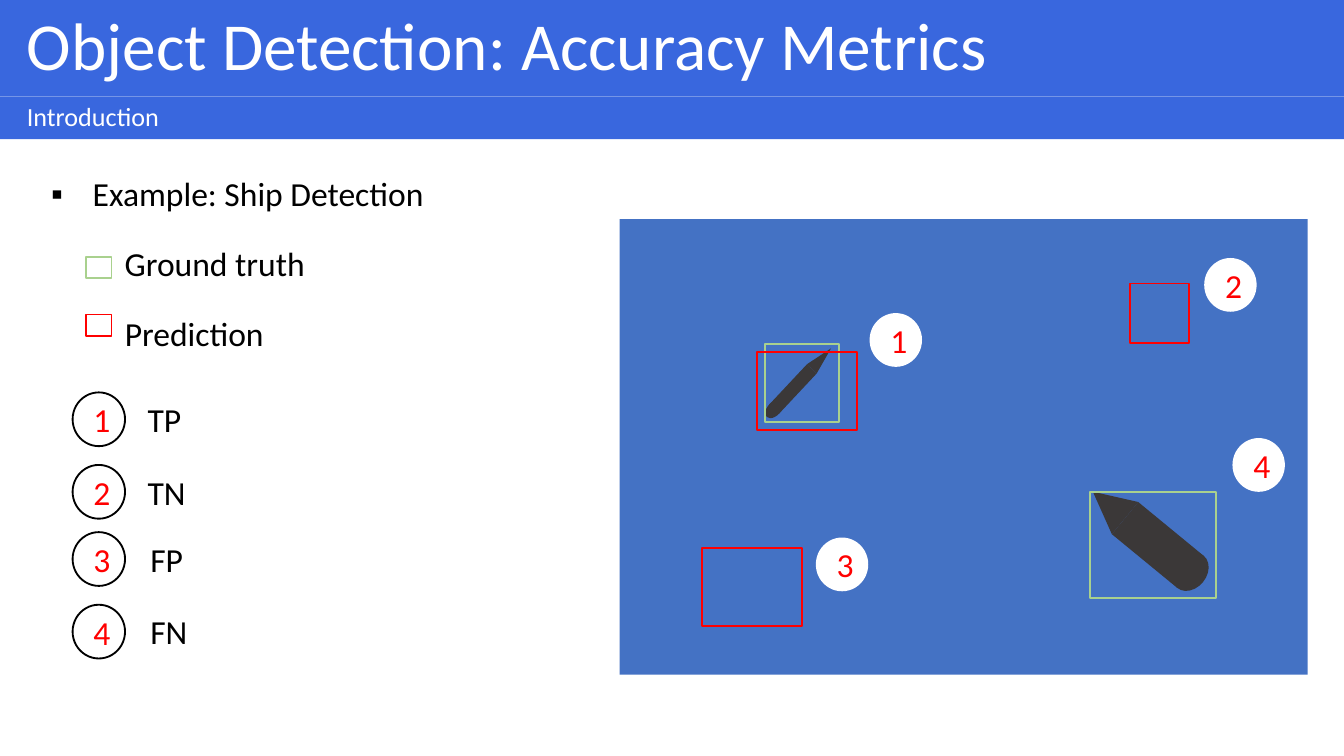
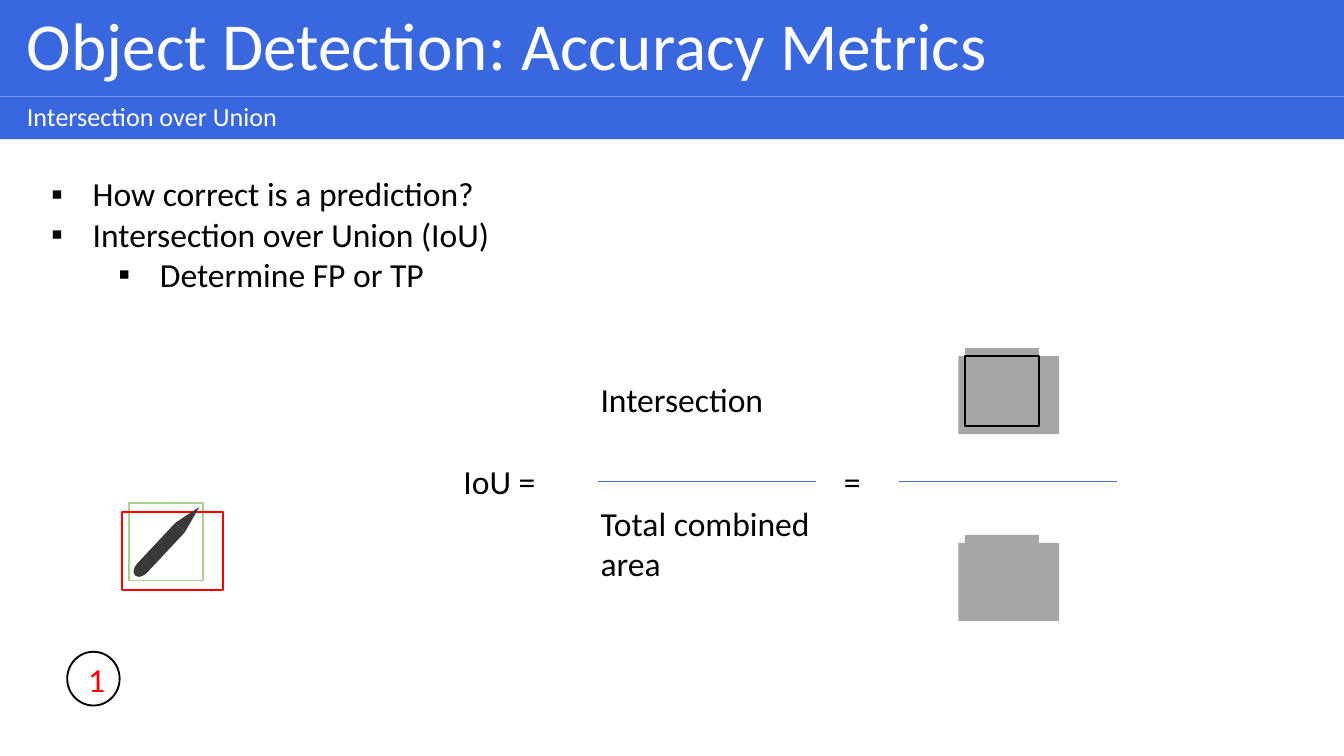
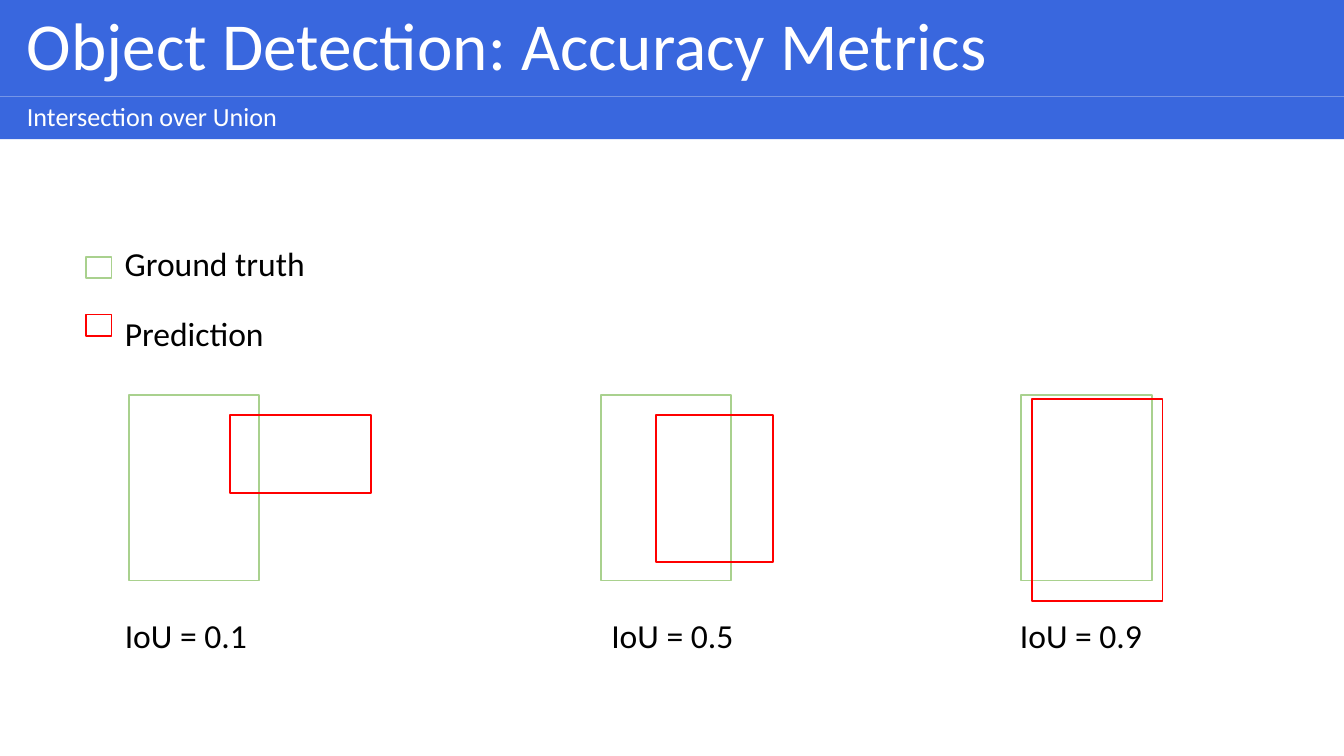
from dataclasses import dataclass
from math import cos, radians, sin

from lxml import etree
from pptx import Presentation
from pptx.dml.color import RGBColor
from pptx.enum.shapes import MSO_CONNECTOR, MSO_SHAPE
from pptx.enum.text import MSO_ANCHOR, MSO_AUTO_SIZE, PP_ALIGN
from pptx.oxml.ns import qn
from pptx.util import Emu, Inches, Pt

RECT, OVAL, WEDGE = MSO_SHAPE.RECTANGLE, MSO_SHAPE.OVAL, MSO_SHAPE.ISOSCELES_TRIANGLE
LINE = MSO_CONNECTOR.STRAIGHT
LEFT, CENTER = PP_ALIGN.LEFT, PP_ALIGN.CENTER
TOP, MIDDLE = MSO_ANCHOR.TOP, MSO_ANCHOR.MIDDLE
FIXED, GROW = MSO_AUTO_SIZE.NONE, MSO_AUTO_SIZE.SHAPE_TO_FIT_TEXT

WIDTH = Inches(10)
HEIGHT = WIDTH * 9 // 16
CELL = WIDTH // 100  # square grid, 100 columns across the slide


@dataclass(frozen=True)
class Theme:
    font: str = "Calibri"
    band: str = "3967DE"
    sea: str = "4472C4"
    ship: str = "3B3838"
    truth: str = "A9D18E"
    guess: str = "FF0000"
    area: str = "A6A6A6"
    ink: str = "000000"
    paper: str = "FFFFFF"
    head: int = 36
    sub: int = 14
    text: int = 18


@dataclass(frozen=True)
class Box:
    x: float
    y: float
    w: float
    h: float

    def sub(self, x, y, w, h):
        return Box(self.x + x, self.y + y, w, h)

    def emu(self):
        return [grid(v) for v in (self.x, self.y, self.w, self.h)]


THEME = Theme()
LEGEND = Box(6.4, 17.6, 17.5, 9.2)


def grid(cells):
    return Emu(round(cells * CELL))


def rgb(code):
    return RGBColor.from_string(code)


# Basic parts
def style(par, size, color, align=LEFT):
    par.alignment = align
    for run in par.runs:
        run.font.name = THEME.font
        run.font.size = Pt(size)
        run.font.color.rgb = rgb(color)


def shape(shapes, kind, box, fill=None, line=None):
    item = shapes.add_shape(kind, *box.emu())
    item.shadow.inherit = False
    if fill:
        item.fill.solid()
        item.fill.fore_color.rgb = rgb(fill)
    else:
        item.fill.background()
    if line:
        item.line.color.rgb = rgb(line)
        item.line.width = Pt(1)
    else:
        item.line.fill.background()
    return item


def label(slide, box, text):
    frame = slide.shapes.add_textbox(*box.emu()).text_frame
    frame.word_wrap = False
    frame.auto_size = GROW
    frame.text = text
    for par in frame.paragraphs:
        style(par, THEME.text, THEME.ink)


def badge(slide, box, num, line=None):
    disc = shape(slide.shapes, OVAL, box.sub(0, 0, 3.9, 4), THEME.paper, line)
    frame = disc.text_frame
    frame.text = str(num)
    frame.vertical_anchor = MIDDLE
    style(frame.paragraphs[0], THEME.text, THEME.guess, CENTER)


def bar(slide, box):
    x, y, w, _ = box.emu()
    rule = slide.shapes.add_connector(LINE, x, y, x + w, y)
    rule.line.color.rgb = rgb(THEME.sea)
    rule.line.width = Pt(0.5)
    etree.SubElement(rule._element.spPr, qn("a:effectLst"))


def ship(slide, mid, wide, hull, nose, tail, turn):
    """Hull centred on mid, with nose and tail along its turned axis."""
    group = slide.shapes.add_group_shape()
    dx, dy = sin(radians(turn)), -cos(radians(turn))
    parts = ((RECT, hull, 0), (WEDGE, nose, (hull + nose) / 2), (OVAL, tail, -hull / 2))
    for kind, long, far in parts:
        box = mid.sub(dx * far - wide / 2, dy * far - long / 2, wide, long)
        shape(group.shapes, kind, box, THEME.ship).rotation = turn


# Placeholders
def place(holder, box, text, anchor):
    holder.left, holder.top, holder.width, holder.height = box.emu()
    frame = holder.text_frame
    frame.word_wrap = True
    frame.auto_size = FIXED
    frame.vertical_anchor = anchor
    frame.text = text
    return frame


def bullet(par, margin, hang, mark=None):
    props = par._p.get_or_add_pPr()
    props.set("marL", str(grid(margin)))
    props.set("indent", str(grid(-hang)))
    if mark:
        etree.SubElement(props, qn("a:buChar")).set("char", mark)
    else:
        etree.SubElement(props, qn("a:buNone"))


def band(holder, box, text, size):
    holder.fill.solid()
    holder.fill.fore_color.rgb = rgb(THEME.band)
    frame = place(holder, box, text, MIDDLE)
    frame.margin_left, frame.margin_right = grid(2), grid(1)
    frame.margin_top = frame.margin_bottom = grid(0.5)
    par = frame.paragraphs[0]
    par.line_spacing, par.space_before = 0.9, Pt(10)
    style(par, size, THEME.paper)
    bullet(par, 0, 0)


def points(holder, box, items):
    frame = place(holder, box, "\n".join(text for text, _ in items), TOP)
    for par, (_, level) in zip(frame.paragraphs, items):
        par.level = level
        par.space_before = Pt(0)
        style(par, THEME.text, THEME.ink)
        bullet(par, 3.1 + 5 * level, 3.1, "▪")


def start(deck, topic, items=()):
    slide = deck.slides.add_slide(deck.slide_layouts[3])
    title, sub, body = (slide.placeholders[i] for i in range(3))
    band(title, Box(0, 0, 100, 7.2), "Object Detection: Accuracy Metrics", THEME.head)
    band(sub, Box(0, 7.2, 100, 3.15), topic, THEME.sub)
    if items:
        points(body, Box(2.8, 12.4, 89, 1 + 3.03 * len(items)), items)
    else:
        body._element.getparent().remove(body._element)
    return slide


# Regions
def legend(slide, box):
    rows = (("Ground truth", THEME.truth, 15.6, 0, 1.5),
            ("Prediction", THEME.guess, 12.5, 5.2, 5.8))
    for text, color, wide, top, mark in rows:
        shape(slide.shapes, RECT, box.sub(0, mark, 1.9, 1.6), line=color)
        label(slide, box.sub(1.9, top, wide, 4), text)


def scene(slide, box):
    shape(slide.shapes, RECT, box, THEME.sea)
    ship(slide, box.sub(40.05, 24.25, 0, 0), 3.1, 6.3, 3.1, 2.4, 309.4)
    ship(slide, box.sub(12.9, 12.65, 0, 0), 1, 4.1, 2.1, 1.6, 43.1)
    for spot in ((35, 20.3, 9.4, 7.9), (10.8, 9.3, 5.5, 5.8)):
        shape(slide.shapes, RECT, box.sub(*spot), line=THEME.truth)
    for spot in ((10.2, 9.9, 7.5, 5.8), (38, 4.8, 4.4, 4.4), (6.1, 24.5, 7.5, 5.8)):
        shape(slide.shapes, RECT, box.sub(*spot), line=THEME.guess)
    spots = ((18.6, 7), (43.5, 2.9), (14.6, 23.7), (45.6, 16.3))
    for num, (x, y) in enumerate(spots, 1):
        badge(slide, box.sub(x, y, 0, 0), num)


def key(slide, box):
    rows = (("TP", 0, 4.6, 4.5), ("TN", 5.4, 4.6, 4.9),
            ("FP", 10.4, 4.8, 4.5), ("FN", 15.8, 4.8, 4.8))
    for num, (text, top, left, wide) in enumerate(rows, 1):
        badge(slide, box.sub(0, top, 0, 0), num, THEME.ink)
        label(slide, box.sub(left, top, wide, 4), text)


def sample(slide, box):
    shape(slide.shapes, RECT, box.sub(0.5, 0, 5.5, 5.8), line=THEME.truth)
    shape(slide.shapes, RECT, box.sub(0, 0.7, 7.5, 5.8), line=THEME.guess)
    ship(slide, box.sub(2.9, 3.35, 0, 0), 1, 4.1, 2.1, 1.6, 43.1)


def ratio(slide, box):
    texts = (("IoU =", 0, 7.9, 8, 4), ("Intersection", 10.2, 1.8, 14.3, 4),
             ("Total combined\narea", 10.2, 11, 17.8, 7.1), ("=", 28.3, 7.9, 3.9, 4))
    for text, *spot in texts:
        label(slide, box.sub(*spot), text)
    for left in (11, 33.4):
        bar(slide, box.sub(left, 9.9, 16.2, 0))
    for top in (0, 13.9):
        shape(slide.shapes, RECT, box.sub(38.3, top, 5.5, 5.8), THEME.area)
        shape(slide.shapes, RECT, box.sub(37.8, top + 0.6, 7.5, 5.8), THEME.area)
    shape(slide.shapes, RECT, box.sub(38.3, 0.6, 5.5, 5.2), line=THEME.ink)


def match(slide, box, guess, text, left, wide):
    shape(slide.shapes, RECT, box, line=THEME.truth)
    shape(slide.shapes, RECT, box.sub(*guess), line=THEME.guess)
    label(slide, box.sub(left, 15.9, wide, 4), text)


# Slides
def intro(deck):
    slide = start(deck, "Introduction", [("Example: Ship Detection", 0)])
    scene(slide, Box(46.1, 16.3, 51.2, 33.9))
    legend(slide, LEGEND)
    key(slide, Box(5.4, 29.2, 9.6, 19.8))


def define(deck):
    items = [("How correct is a prediction?", 0),
             ("Intersection over Union (IoU)", 0),
             ("Determine FP or TP", 1)]
    slide = start(deck, "Intersection over Union", items)
    sample(slide, Box(9.1, 37.4, 7.5, 6.5))
    badge(slide, Box(5, 48.5, 3.9, 4), 1, THEME.ink)
    ratio(slide, Box(33.5, 25.9, 49.6, 20.3))


def compare(deck):
    slide = start(deck, "Intersection over Union")
    legend(slide, LEGEND)
    cases = ((9.6, (7.5, 1.5, 10.5, 5.8), "IoU = 0.1", -1.3, 11.2),
             (44.7, (4.1, 1.5, 8.7, 10.9), "IoU = 0.5", -0.2, 11.8),
             (76, (0.8, 0.3, 9.7, 15), "IoU = 0.9", -1.1, 11.8))
    for x, *case in cases:
        match(slide, Box(x, 29.4, 9.7, 13.8), *case)


def main():
    deck = Presentation()
    deck.slide_width, deck.slide_height = WIDTH, HEIGHT
    for build in (intro, define, compare):
        build(deck)
    deck.save("out.pptx")


if __name__ == "__main__":
    main()
